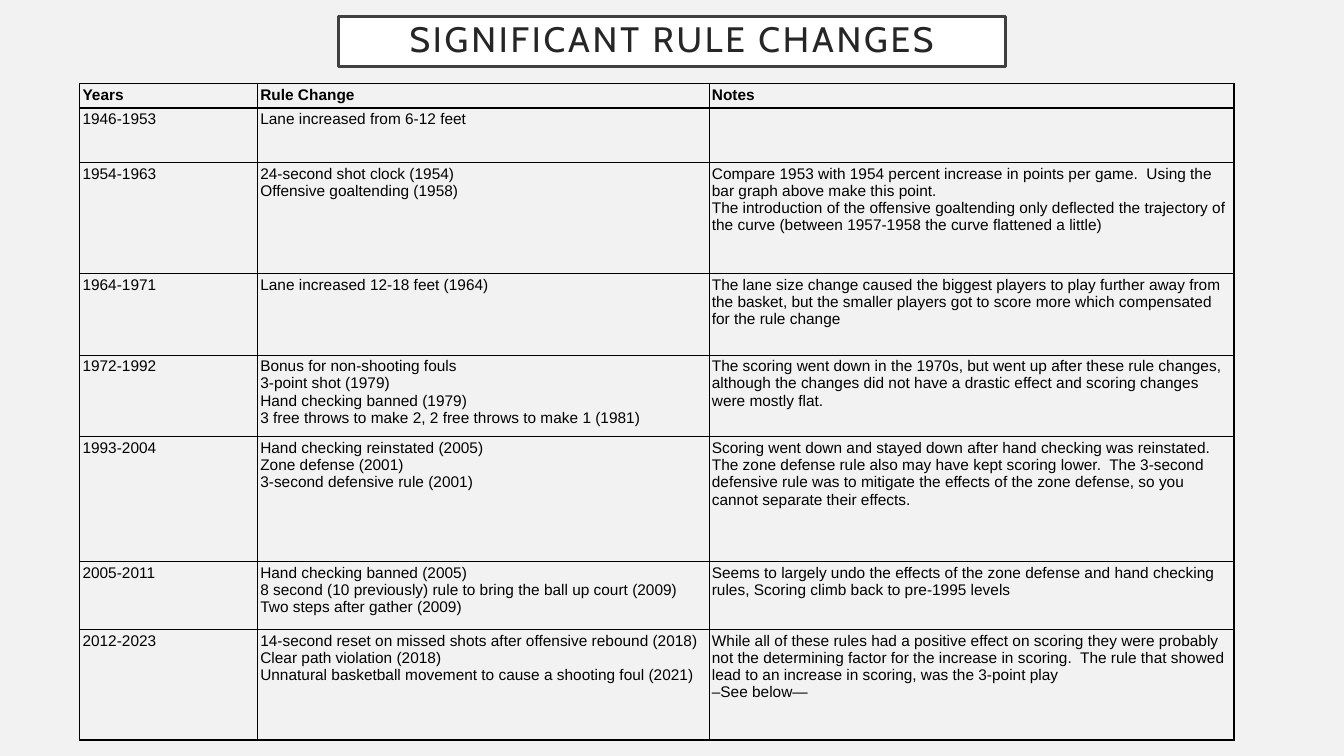
from pptx import Presentation
from pptx.dml.color import RGBColor
from pptx.enum.text import MSO_ANCHOR as Anchor, MSO_AUTO_SIZE as AutoSize, PP_ALIGN as Align
from pptx.oxml import parse_xml
from pptx.oxml.ns import nsdecls
from pptx.util import Cm, Pt

# Content
TITLE = "SIGNIFICANT RULE CHANGES"
HEADERS = ("Years", "Rule Change", "Notes")
# years, rule changes, notes, row height in cm
PERIODS = [
    ("1946-1953", ["Lane increased from 6-12 feet"], [], 1.38),
    ("1954-1963",
     ["24-second shot clock (1954)", "Offensive goaltending (1958)"],
     ["Compare 1953 with 1954 percent increase in points per game.  Using the "
      "bar graph above make this point.",
      "The introduction of the offensive goaltending only deflected the trajectory "
      "of the curve (between 1957-1958 the curve flattened a little)"], 2.79),
    ("1964-1971",
     ["Lane increased 12-18 feet (1964)"],
     ["The lane size change caused the biggest players to play further away from "
      "the basket, but the smaller players got to score more which compensated "
      "for the rule change"], 2.06),
    ("1972-1992",
     ["Bonus for non-shooting fouls", "3-point shot (1979)",
      "Hand checking banned (1979)",
      "3 free throws to make 2, 2 free throws to make 1 (1981)"],
     ["The scoring went down in the 1970s, but went up after these rule changes, "
      "although the changes did not have a drastic effect and scoring changes "
      "were mostly flat. "], 2.06),
    ("1993-2004",
     ["Hand checking reinstated (2005)", "Zone defense (2001)",
      "3-second defensive rule (2001)"],
     ["Scoring went down and stayed down after hand checking was reinstated.  "
      "The zone defense rule also may have kept scoring lower.  The 3-second "
      "defensive rule was to mitigate the effects of the zone defense, so you "
      "cannot separate their effects."], 3.15),
    ("2005-2011",
     ["Hand checking banned (2005)",
      "8 second (10 previously) rule to bring the ball up court (2009)",
      "Two steps after gather (2009)"],
     ["Seems to largely undo the effects of the zone defense and hand checking "
      "rules, Scoring climb back to pre-1995 levels"], 1.7),
    ("2012-2023",
     ["14-second reset on missed shots after offensive rebound (2018)",
      "Clear path violation (2018)",
      "Unnatural basketball movement to cause a shooting foul (2021)"],
     ["While all of these rules had a positive effect on scoring they were probably "
      "not the determining factor for the increase in scoring.  The rule that "
      "showed lead to an increase in scoring, was the 3-point play",
      "–See below— "], 2.79),
]

# Layout and colours
COLORS = {"background": "F2F2F2", "panel": "FFFFFF", "frame": "404040",
          "title": "262626", "ink": "000000"}
COLUMN_WIDTHS = (4.48, 11.38, 13.23)
HEADER_HEIGHT = 0.61
CELL_MARGIN = 0.07


def color(name):
    return RGBColor.from_string(COLORS[name])


def write(frame, lines, size=11, font="Arial", ink="ink", bold=False,
          align=None, line_spacing=None, tracking=None):
    for index, line in enumerate(lines):
        paragraph = frame.paragraphs[0] if index == 0 else frame.add_paragraph()
        paragraph.alignment = align
        paragraph.line_spacing = line_spacing
        run = paragraph.add_run()
        run.text = line
        run.font.size, run.font.name, run.font.bold = Pt(size), font, bold
        run.font.color.rgb = color(ink)
        if tracking:
            run.font._element.set("spc", str(tracking * 100))


def set_borders(cell, width=1):
    properties = cell._tc.get_or_add_tcPr()
    for index, side in enumerate("LRTB"):
        properties.insert(index, parse_xml(
            f'<a:ln{side} {nsdecls("a")} w="{Pt(width)}"><a:solidFill>'
            f'<a:srgbClr val="{COLORS["ink"]}"/></a:solidFill></a:ln{side}>'))


def add_title(slide):
    title = slide.shapes.title
    title.left, title.top, title.width, title.height = Cm(8.53), Cm(0.41), Cm(16.81), Cm(1.27)
    title.fill.solid()
    title.fill.fore_color.rgb = color("panel")
    title.line.color.rgb = color("frame")
    title.line.width = Pt(2.5)
    frame = title.text_frame
    frame.auto_size, frame.word_wrap = AutoSize.NONE, True
    frame.vertical_anchor = Anchor.MIDDLE
    frame.margin_left = frame.margin_right = frame.margin_top = frame.margin_bottom = Cm(0.5)
    write(frame, [TITLE], size=25.2, font="Cabin", ink="title",
          align=Align.CENTER, line_spacing=0.9, tracking=2)


def add_rules_table(slide):
    rows = [([[header] for header in HEADERS], HEADER_HEIGHT)]
    rows += [([[years], changes, notes], height) for years, changes, notes, height in PERIODS]
    total_height = sum(height for _, height in rows)
    table = slide.shapes.add_table(len(rows), len(HEADERS), Cm(2.01), Cm(2.11),
                                   Cm(sum(COLUMN_WIDTHS)), Cm(total_height)).table
    table.first_row = table.horz_banding = False
    for column, width in zip(table.columns, COLUMN_WIDTHS):
        column.width = Cm(width)
    for row_index, (texts, height) in enumerate(rows):
        table.rows[row_index].height = Cm(height)
        for cell, lines in zip(table.rows[row_index].cells, texts):
            cell.margin_left = cell.margin_right = Cm(CELL_MARGIN)
            cell.margin_top = cell.margin_bottom = Cm(CELL_MARGIN)
            cell.fill.background()
            set_borders(cell)
            write(cell.text_frame, lines, bold=row_index == 0)


def main():
    presentation = Presentation()
    presentation.slide_width, presentation.slide_height = Cm(33.87), Cm(19.05)
    slide = presentation.slides.add_slide(presentation.slide_layouts[5])
    slide.background.fill.solid()
    slide.background.fill.fore_color.rgb = color("background")
    add_title(slide)
    add_rules_table(slide)
    presentation.save("out.pptx")


if __name__ == "__main__":
    main()
